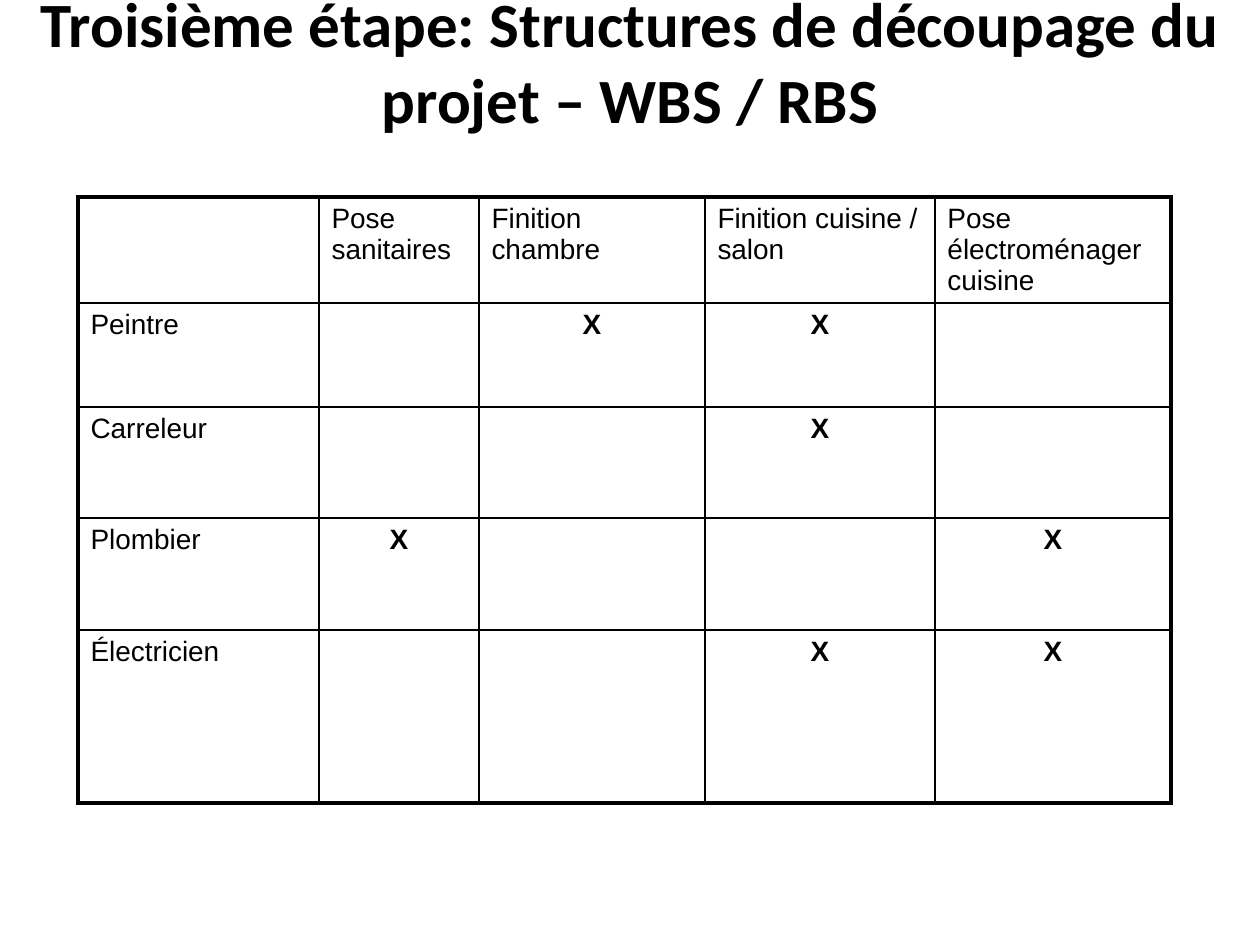
from dataclasses import dataclass

from lxml.etree import SubElement
from pptx import Presentation
from pptx.dml.color import RGBColor
from pptx.enum.text import MSO_ANCHOR, MSO_AUTO_SIZE, PP_ALIGN
from pptx.oxml.ns import qn
from pptx.util import Emu, Pt


@dataclass(frozen=True)
class Theme:
    """Colours, fonts and sizes of the slide."""

    ink: str = "000000"
    paper: str = "FFFFFF"
    title_font: str = "Calibri"
    table_font: str = "Arial"
    title_size: int = 36
    table_size: int = 16
    outer_line: float = 2.25
    inner_line: float = 1


def px(length):
    """Turn pixels into EMU at 126 pixels to the inch."""
    return Emu(round(length * 914400 / 126))


class SlideBuilder:
    """Holds the theme and the current slide."""

    def __init__(self, deck, theme):
        """Add a title-only slide to the deck."""
        self.theme = theme
        self.page = deck.slides.add_slide(deck.slide_layouts[5])

    def format_text(self, frame, font, size, bold, align):
        """Format every paragraph, its runs and its end mark."""
        for para in frame.paragraphs:
            para.alignment = align
            for span in para.runs:
                span.font.name = font
                span.font.size = Pt(size)
                span.font.bold = bold
                span.font.color.rgb = RGBColor.from_string(self.theme.ink)
            SubElement(para._p, qn("a:endParaRPr"), sz=str(size * 100))

    def title(self, text, left, top, width, height):
        """Place and fill the title placeholder."""
        box = self.page.shapes.title
        box.left, box.top, box.width, box.height = map(px, (left, top, width, height))
        frame = box.text_frame
        frame.text = text
        frame.word_wrap = True
        frame.auto_size = MSO_AUTO_SIZE.NONE
        frame.vertical_anchor = MSO_ANCHOR.MIDDLE
        self.format_text(frame, self.theme.title_font, self.theme.title_size, True, PP_ALIGN.CENTER)

    def borders(self, cell, outer_sides):
        """Draw the four borders of a cell, heavier on the outer sides."""
        properties = cell._tc.get_or_add_tcPr()
        for side in "LRTB":
            weight = self.theme.outer_line if side in outer_sides else self.theme.inner_line
            line = SubElement(properties, qn(f"a:ln{side}"), w=str(Pt(weight)))
            fill = SubElement(line, qn("a:solidFill"))
            SubElement(fill, qn("a:srgbClr"), val=self.theme.ink)

    def table(self, left, top, widths, heights, rows):
        """Add a bordered table whose marks are bold and centred."""
        last_row, last_column = len(heights) - 1, len(widths) - 1
        table = self.page.shapes.add_table(
            len(heights), len(widths), px(left), px(top), px(sum(widths)), px(sum(heights))
        ).table
        table.first_row = table.horz_banding = False
        for column, width in zip(table.columns, widths):
            column.width = px(width)
        for row, height in zip(table.rows, heights):
            row.height = px(height)
        for r, texts in enumerate(rows):
            for c, text in enumerate(texts):
                cell = table.cell(r, c)
                edges = {"L": c == 0, "R": c == last_column, "T": r == 0, "B": r == last_row}
                self.borders(cell, [side for side, outer in edges.items() if outer])
                cell.fill.solid()
                cell.fill.fore_color.rgb = RGBColor.from_string(self.theme.paper)
                cell.text_frame.text = text
                marked = text == "X"
                align = PP_ALIGN.CENTER if marked else PP_ALIGN.LEFT
                self.format_text(
                    cell.text_frame, self.theme.table_font, self.theme.table_size, marked, align
                )


def main():
    """Build the resource matrix slide."""
    deck = Presentation()
    deck.slide_width, deck.slide_height = px(1260), px(945)
    builder = SlideBuilder(deck, Theme())
    builder.title(
        "Troisième étape: Structures de découpage du projet – WBS / RBS\v", 0, 49, 1260, 98
    )
    tasks = ["Pose sanitaires", "Finition chambre", "Finition cuisine / salon",
             "Pose électroménager cuisine"]
    assignments = {
        "Peintre": (1, 2),
        "Carreleur": (2,),
        "Plombier": (0, 3),
        "Électricien": (2, 3),
    }
    rows = [["", *tasks]] + [
        [trade, *("X" if task in assigned else "" for task in range(len(tasks)))]
        for trade, assigned in assignments.items()
    ]
    builder.table(78, 197, [241, 160, 226, 230, 236], [105, 104, 111, 112, 173], rows)
    deck.save("out.pptx")


if __name__ == "__main__":
    main()
